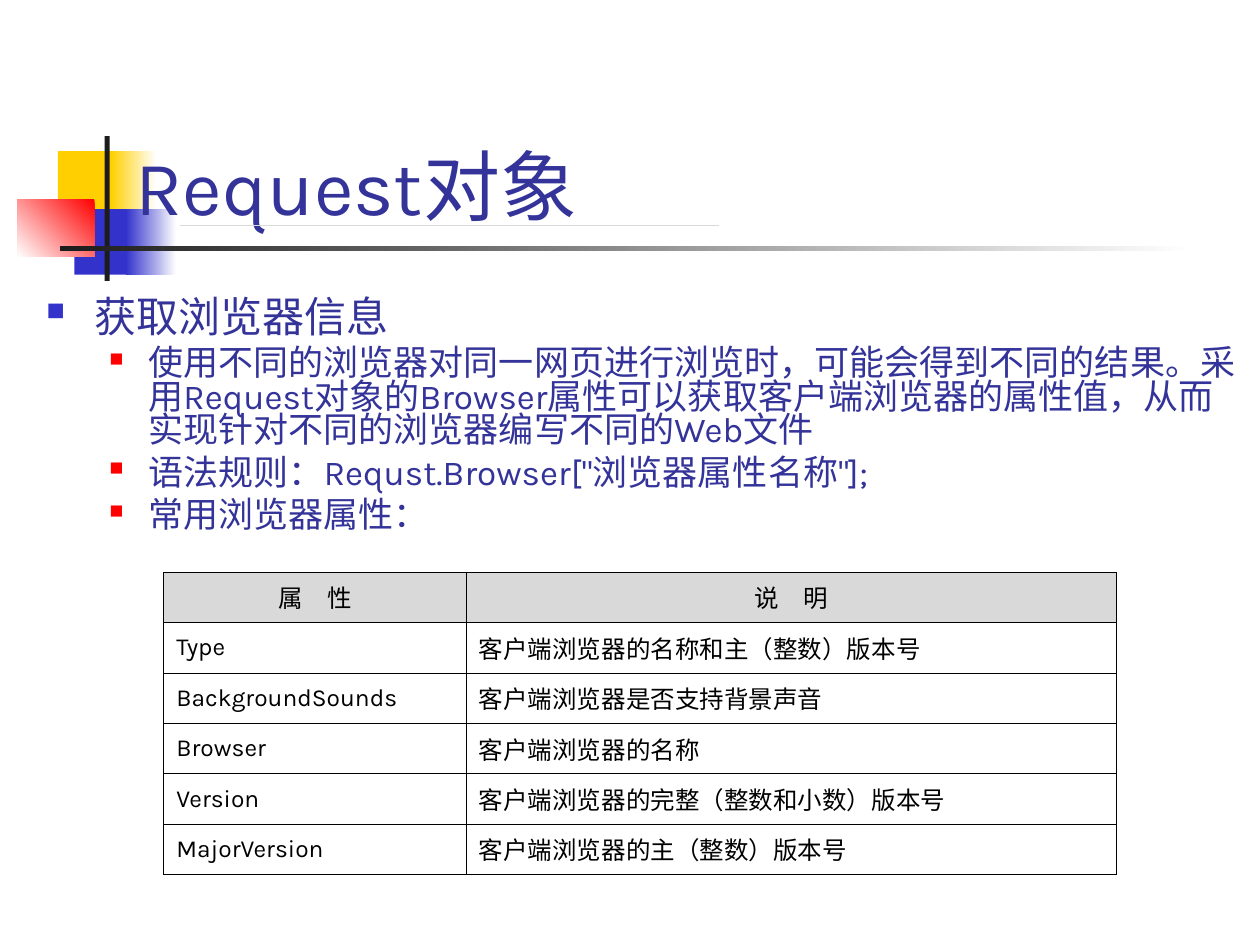
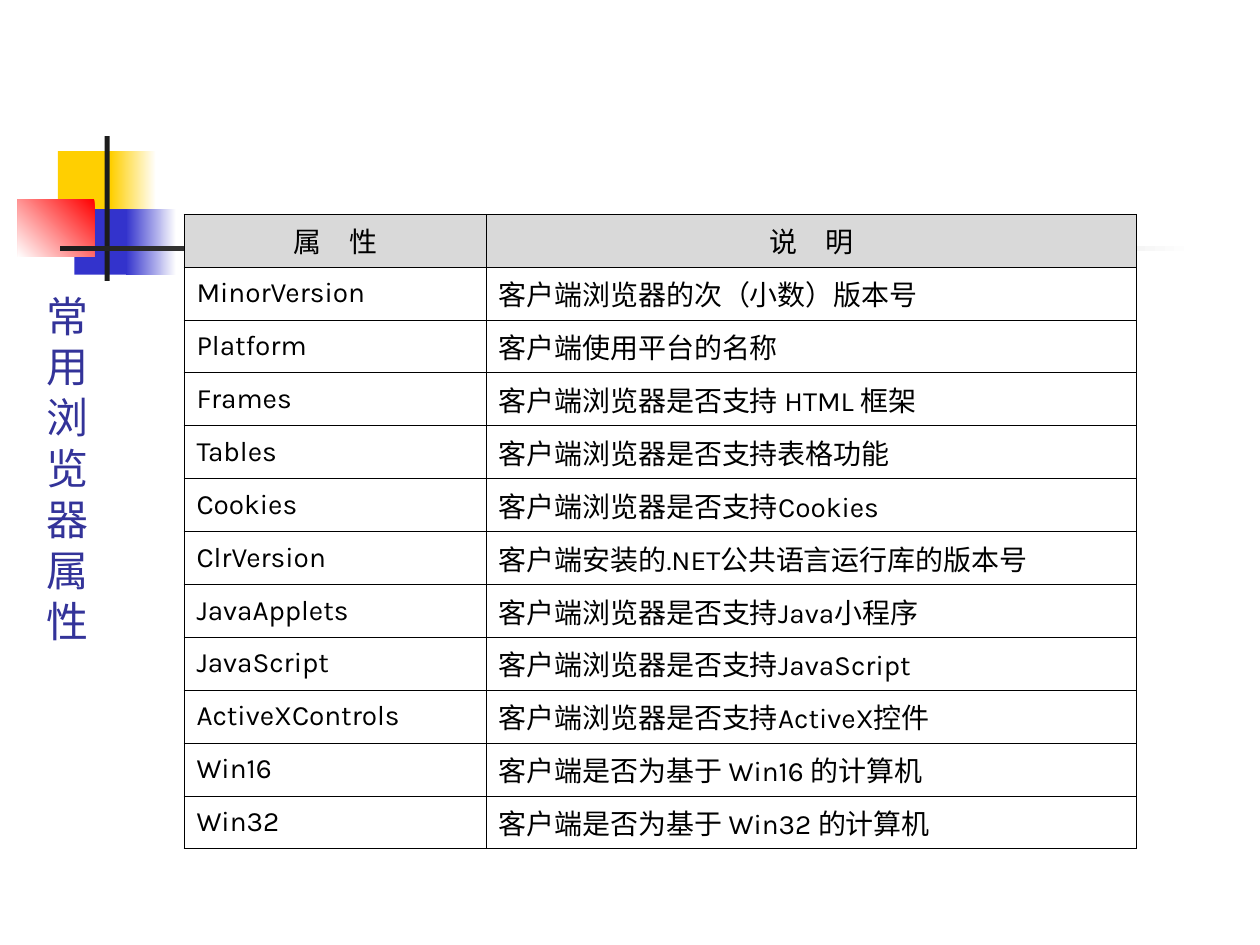
from lxml import etree
from pptx import Presentation
from pptx.dml.color import RGBColor
from pptx.enum import shapes, text
from pptx.oxml import ns
from pptx.util import Inches, Pt

FONT = "Karla"
HEX = {
    "gold": "FFCF01", "blue": "3333CC", "red": "FF0000", "white": "FFFFFF",
    "dark": "1C1C1C", "navy": "333399", "grey": "D9D9D9", "black": "000000",
}

# box, colours (two make a gradient), clockwise angle
DECOR = [
    ((0.46, 1.2, 0.48, 0.52), ["gold"], 0),
    ((0.88, 1.2, 0.36, 0.52), ["white", "gold"], 180),
    ((0.59, 1.66, 0.46, 0.52), ["blue"], 0),
    ((1, 1.66, 0.4, 0.52), ["white", "blue"], 180),
    ((0.14, 1.58, 0.61, 0.46), ["red", "white"], 135),
    ((0.83, 1.08, 0.04, 1.15), ["dark"], 0),
    ((0.48, 1.95, 9, 0.04), ["white", "dark"], 180),
]

# per level: size, left edge, hanging indent, space before, bullet colour, bullet percent
LEVELS = [
    (24, 0.38, 0.38, 6, "blue", 60),
    (20, 0.81, 0.31, 5, "red", 55),
]

TITLE = "Request对象"
POINTS = [
    (0, "获取浏览器信息"),
    (1, "使用不同的浏览器对同一网页进行浏览时，可能会得到不同的结果。采用Request对象的Browser属性"
        "可以获取客户端浏览器的属性值，从而实现针对不同的浏览器编写不同的Web文件"),
    (1, '语法规则：Requst.Browser["浏览器属性名称"];'),
    (1, "常用浏览器属性："),
]
SIDE = [(0, char) for char in "常用浏览器属性"]

HEAD = ("属　性", "说　明")
BASIC = [
    ("Type", "客户端浏览器的名称和主（整数）版本号"),
    ("BackgroundSounds", "客户端浏览器是否支持背景声音"),
    ("Browser", "客户端浏览器的名称"),
    ("Version", "客户端浏览器的完整（整数和小数）版本号"),
    ("MajorVersion", "客户端浏览器的主（整数）版本号"),
]
MORE = [
    ("MinorVersion", "客户端浏览器的次（小数）版本号"),
    ("Platform", "客户端使用平台的名称"),
    ("Frames", "客户端浏览器是否支持 HTML 框架"),
    ("Tables", "客户端浏览器是否支持表格功能"),
    ("Cookies", "客户端浏览器是否支持Cookies"),
    ("ClrVersion", "客户端安装的.NET公共语言运行库的版本号"),
    ("JavaApplets", "客户端浏览器是否支持Java小程序"),
    ("JavaScript", "客户端浏览器是否支持JavaScript"),
    ("ActiveXControls", "客户端浏览器是否支持ActiveX控件"),
    ("Win16", "客户端是否为基于 Win16 的计算机"),
    ("Win32", "客户端是否为基于 Win32 的计算机"),
]
COLS = (2.4, 5.16)


def color(name):
    return RGBColor.from_string(HEX[name])


def node(parent, tag, **attrs):
    return etree.SubElement(parent, ns.qn(tag), attrs)


def style(para, size, name):
    para.font.name = FONT
    para.font.size = Pt(size)
    para.font.color.rgb = color(name)


def add_box(slide, *box):
    frame = slide.shapes.add_textbox(*map(Inches, box)).text_frame
    frame.word_wrap = True
    return frame


def new_slide(deck):
    """Add a blank slide with the shared squares and rules."""
    slide = deck.slides.add_slide(deck.slide_layouts[6])
    for box, names, angle in DECOR:
        shape = slide.shapes.add_shape(shapes.MSO_SHAPE.RECTANGLE, *map(Inches, box))
        shape.shadow.inherit = False
        shape.line.fill.background()
        if len(names) == 1:
            shape.fill.solid()
            shape.fill.fore_color.rgb = color(names[0])
            continue
        shape.fill.gradient()
        shape.fill.gradient_angle = 360 - angle
        for stop, name in zip(shape.fill.gradient_stops, names):
            stop.color.rgb = color(name)
    return slide


def add_body(slide, items, marks):
    frame = add_box(slide, 0.27, 2.33, 9.73, 4.88)
    for i, (level, words) in enumerate(items):
        size, left, hang, before, tint, scale = LEVELS[level]
        para = frame.add_paragraph() if i else frame.paragraphs[0]
        para.text = words
        para.level = level
        para.line_spacing = 0.8
        if i:
            para.space_before = Pt(before)
        props = para._p.get_or_add_pPr()
        props.set("marL", str(Inches(left)))
        props.set("indent", str(-Inches(hang)))
        if marks:
            node(node(props, "a:buClr"), "a:srgbClr", val=HEX[tint])
            node(props, "a:buSzPct", val=str(scale * 1000))
            node(props, "a:buFont", typeface="Wingdings", charset="2")
            node(props, "a:buChar", char="n")
        style(para, size, "navy")


def add_border(cell):
    props = cell._tc.get_or_add_tcPr()
    for side in "LRTB":
        line = node(props, "a:ln" + side, w=str(Pt(0.45)))
        node(node(line, "a:solidFill"), "a:srgbClr", val=HEX["black"])


def add_grid(slide, left, top, height, rows, size):
    rows = [HEAD] + rows
    box = map(Inches, (left, top, sum(COLS), height * len(rows)))
    table = slide.shapes.add_table(len(rows), len(COLS), *box).table
    table.horz_banding = table.first_row = False
    for col, width in zip(table.columns, COLS):
        col.width = Inches(width)
    for r, row in enumerate(rows):
        for c, words in enumerate(row):
            cell = table.cell(r, c)
            cell.vertical_anchor = text.MSO_ANCHOR.MIDDLE
            add_border(cell)
            para = cell.text_frame.paragraphs[0]
            para.text = words
            style(para, size, "black")
            if r:
                cell.fill.background()
            else:
                cell.fill.solid()
                cell.fill.fore_color.rgb = color("grey")
                para.alignment = text.PP_ALIGN.CENTER


def add_title(slide):
    frame = add_box(slide, 0.98, 0.28, 8.52, 1.6)
    frame.vertical_anchor = text.MSO_ANCHOR.BOTTOM
    para = frame.paragraphs[0]
    para.text = TITLE
    style(para, 44, "navy")
    ends = map(Inches, (1.43, 1.79, 5.71, 1.79))
    rule = slide.shapes.add_connector(shapes.MSO_CONNECTOR.STRAIGHT, *ends)
    rule.line.color.rgb = color("grey")
    rule.line.width = Pt(0.1)
    node(rule._element.spPr, "a:effectLst")


def main():
    deck = Presentation()
    deck.slide_width, deck.slide_height = Inches(10), Inches(7.5)

    first = new_slide(deck)
    add_body(first, POINTS, marks=True)
    add_title(first)
    add_grid(first, 1.3, 4.54, 0.4, BASIC, 14)

    second = new_slide(deck)
    add_body(second, SIDE, marks=False)
    add_grid(second, 1.46, 1.7, 0.42, MORE, 16)

    deck.save("out.pptx")


if __name__ == "__main__":
    main()
